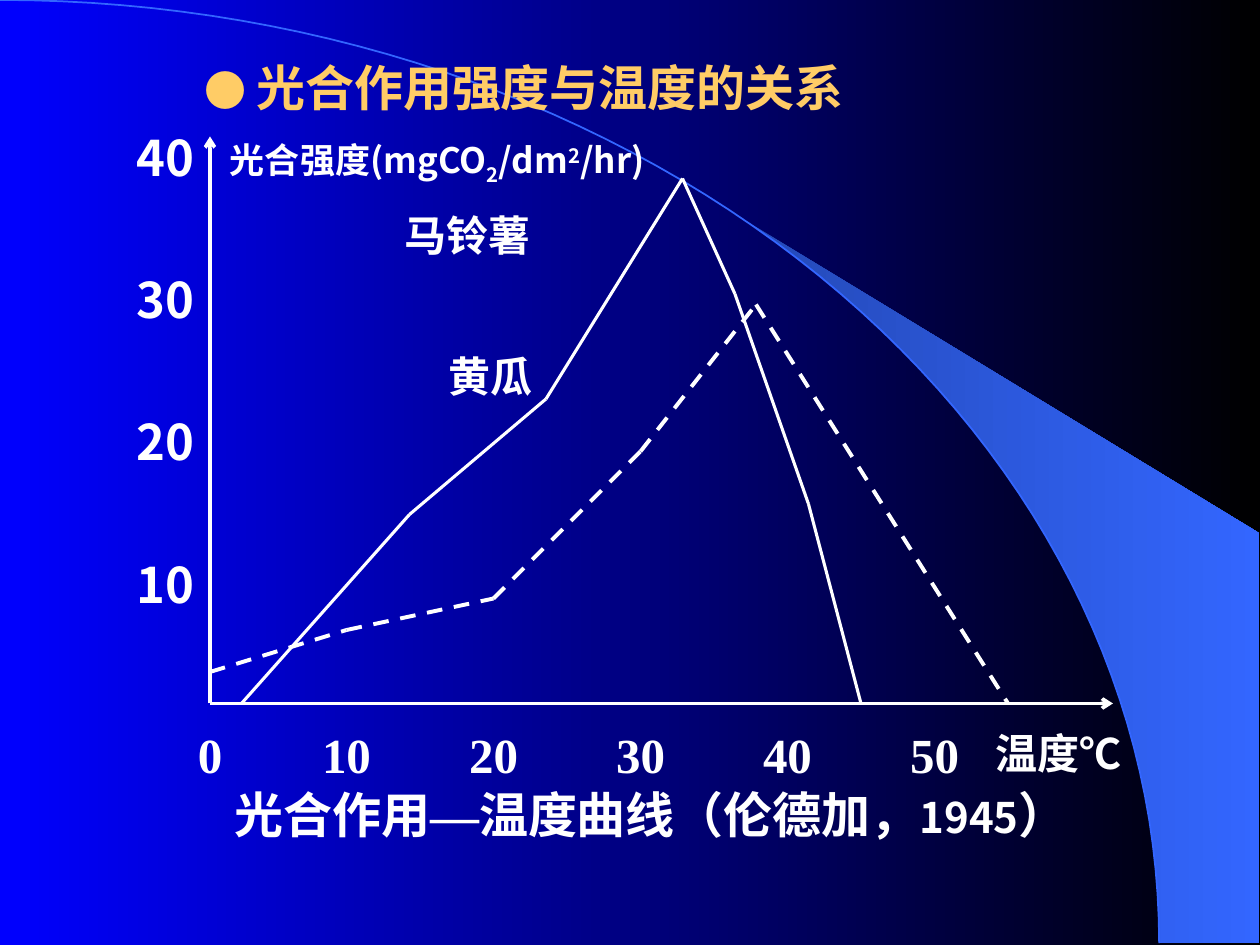
import math

import pptx
import pptx.dml.color
import pptx.enum.dml
import pptx.enum.shapes
import pptx.enum.text
import pptx.oxml
import pptx.oxml.ns
import pptx.util

RGB = pptx.dml.color.RGBColor
ALIGN = pptx.enum.text.PP_ALIGN
WHITE = RGB(0xFF, 0xFF, 0xFF)
GOLD = RGB(0xFF, 0xCC, 0x66)
BLUE = RGB(0x00, 0x00, 0xFF)
BLACK = RGB(0x00, 0x00, 0x00)
SWEEP = RGB(0x33, 0x66, 0xFF)
SWEEP_DARK = RGB(0x24, 0x49, 0xB6)

SANS = "Noto Sans CJK SC"
SANS_JP = "Noto Sans CJK JP"
SERIF = "Times New Roman"

COLS, ROWS = 120, 90
WIDTH, HEIGHT = pptx.util.Inches(10), pptx.util.Inches(7.5)
CELL = WIDTH / COLS

POTATO = [(3, 54), (19, 36), (32, 25), (45, 4), (50, 15), (57, 35), (62, 54)]
CUCUMBER = [(0, 51), (13, 47), (27, 44), (41, 30), (52, 16), (76, 54)]


def emu(cells):
    """Convert grid cells to EMU."""
    return int(round(cells * CELL))


def add_gradient(fill, first, last):
    """Fill from left to right with two colours."""
    fill.gradient()
    fill.gradient_angle = 0
    for stop, color in zip(fill.gradient_stops, (first, last)):
        stop.color.rgb = color


def add_text(s, x, y, width, runs, align=ALIGN.LEFT, color=WHITE):
    """Place one line of (text, size, font, baseline) runs centred on row y."""
    height = 6
    sp = s.shapes.add_textbox(emu(x), emu(y - height / 2), emu(width), emu(height))
    tf = sp.text_frame
    tf.word_wrap = True
    tf.vertical_anchor = pptx.enum.text.MSO_ANCHOR.MIDDLE
    tf.margin_left = tf.margin_right = tf.margin_top = tf.margin_bottom = 0
    p = tf.paragraphs[0]
    p.alignment = align
    for text, size, font, baseline in runs:
        r = p.add_run()
        r.text = text
        r.font.size = pptx.util.Pt(size)
        r.font.bold = True
        r.font.name = font
        r.font.color.rgb = color
        rpr = r._r.get_or_add_rPr()
        ea = pptx.oxml.parse_xml(
            f'<a:ea {pptx.oxml.ns.nsdecls("a")} typeface="{font}"/>')
        rpr.find(pptx.oxml.ns.qn("a:latin")).addnext(ea)
        if baseline:
            rpr.set("baseline", str(baseline * 1000))


def add_line(s, start, end, weight, dashed=False, arrow=False):
    """Draw a straight white line between two grid points."""
    cxn = s.shapes.add_connector(
        pptx.enum.shapes.MSO_CONNECTOR.STRAIGHT, *map(emu, (*start, *end)))
    cxn.line.color.rgb = WHITE
    cxn.line.width = pptx.util.Pt(weight)
    if dashed:
        cxn.line.dash_style = pptx.enum.dml.MSO_LINE.DASH
    ns = pptx.oxml.ns.nsdecls("a")
    if arrow:
        cxn.line._get_or_add_ln().append(
            pptx.oxml.parse_xml(f'<a:tailEnd {ns} type="arrow"/>'))
    cxn._element.spPr.append(pptx.oxml.parse_xml(f"<a:effectLst {ns}/>"))


def add_outline(s, points, close):
    """Build a freeform through the given grid points."""
    start, *rest = [(emu(x), emu(y)) for x, y in points]
    builder = s.shapes.build_freeform(*start, scale=1.0)
    builder.add_line_segments(rest, close=close)
    sp = builder.convert_to_shape()
    sp.shadow.inherit = False
    return sp


def add_backdrop(s, box):
    """Draw the gradient, the sweeping arc and the band beside it."""
    left, top, width, height = box
    add_gradient(s.background.fill, BLUE, BLACK)
    rx, ry = width * 0.92, height * 0.998

    def arc(first):
        angles = [first + (math.pi / 2 - first) * i / 60 for i in range(61)]
        return [(left + rx * math.sin(a), top + ry * (1 - math.cos(a))) for a in angles]

    right = left + width * 0.999
    corners = [(right, top + ry), (right, top + height * 0.564)]
    band = add_outline(s, arc(math.asin(0.64)) + corners, True)
    add_gradient(band.fill, SWEEP_DARK, SWEEP)
    band.line.fill.background()
    edge = add_outline(s, arc(0), False)
    edge.fill.background()
    edge.line.color.rgb = SWEEP
    edge.line.width = pptx.util.Pt(1)


def add_title(s, box):
    """Write the bulleted heading."""
    left, top, width, height = box
    runs = [("● ", 24, SANS, 0), ("光合作用强度与温度的关系", 28, SANS, 0)]
    add_text(s, left, top + height / 2, width, runs, color=GOLD)


def add_plot(s, box):
    """Draw axes, tick labels and both curves."""
    left, top, width, height = box
    bottom = top + height
    for end in ((left + width, bottom), (left, top)):
        add_line(s, (left, bottom), end, 2, arrow=True)
    for curve, weight, dashed in ((POTATO, 1.75, False), (CUCUMBER, 2.25, True)):
        points = [(left + x, top + y) for x, y in curve]
        for start, end in zip(points, points[1:]):
            add_line(s, start, end, weight, dashed)
    for i, value in enumerate((40, 30, 20, 10)):
        add_text(s, left - 9.5, top + 1.9 + 13.57 * i, 8,
                 [(str(value), 28, SANS, 0)], ALIGN.RIGHT)
    for i in range(6):
        add_text(s, left + max(0, 14 * i - 1) - 4, bottom + 4.8, 8,
                 [(str(10 * i), 28, SERIF, 0)], ALIGN.CENTER)
    unit = [("光合强度(mgCO", 20, SANS, 0), ("2", 20, SANS, -25),
            ("/dm", 20, SANS, 0), ("2", 20, SANS, 30), ("/hr)", 20, SANS, 0)]
    add_text(s, left + 1.9, top + 2.5, 46, unit)
    for x, y, text in ((18.5, 9.4, "马铃薯"), (22.7, 22.8, "黄瓜"), (74.8, 58.65, "温度℃")):
        add_text(s, left + x, top + y, 16, [(text, 24, SANS, 0)])


def add_caption(s, box):
    """Write the centred figure caption."""
    left, top, width, height = box
    runs = [("光合作用", 28, SANS_JP, 0), ("—", 28, SERIF, 0),
            ("温度曲线（伦德加，", 28, SANS_JP, 0),
            ("1945", 24, SANS_JP, 0), ("）", 28, SANS_JP, 0)]
    add_text(s, left, top + height / 2, width, runs, ALIGN.CENTER)


def main():
    """Build and save the slide."""
    prs = pptx.Presentation()
    prs.slide_width, prs.slide_height = WIDTH, HEIGHT
    s = prs.slides.add_slide(prs.slide_layouts[6])
    add_backdrop(s, (0, 0, COLS, ROWS))
    add_title(s, (19.5, 5.3, 80, 6))
    add_plot(s, (20, 13, 86, 54))
    add_caption(s, (12, 74.5, 100, 6))
    prs.save("out.pptx")


if __name__ == "__main__":
    main()
